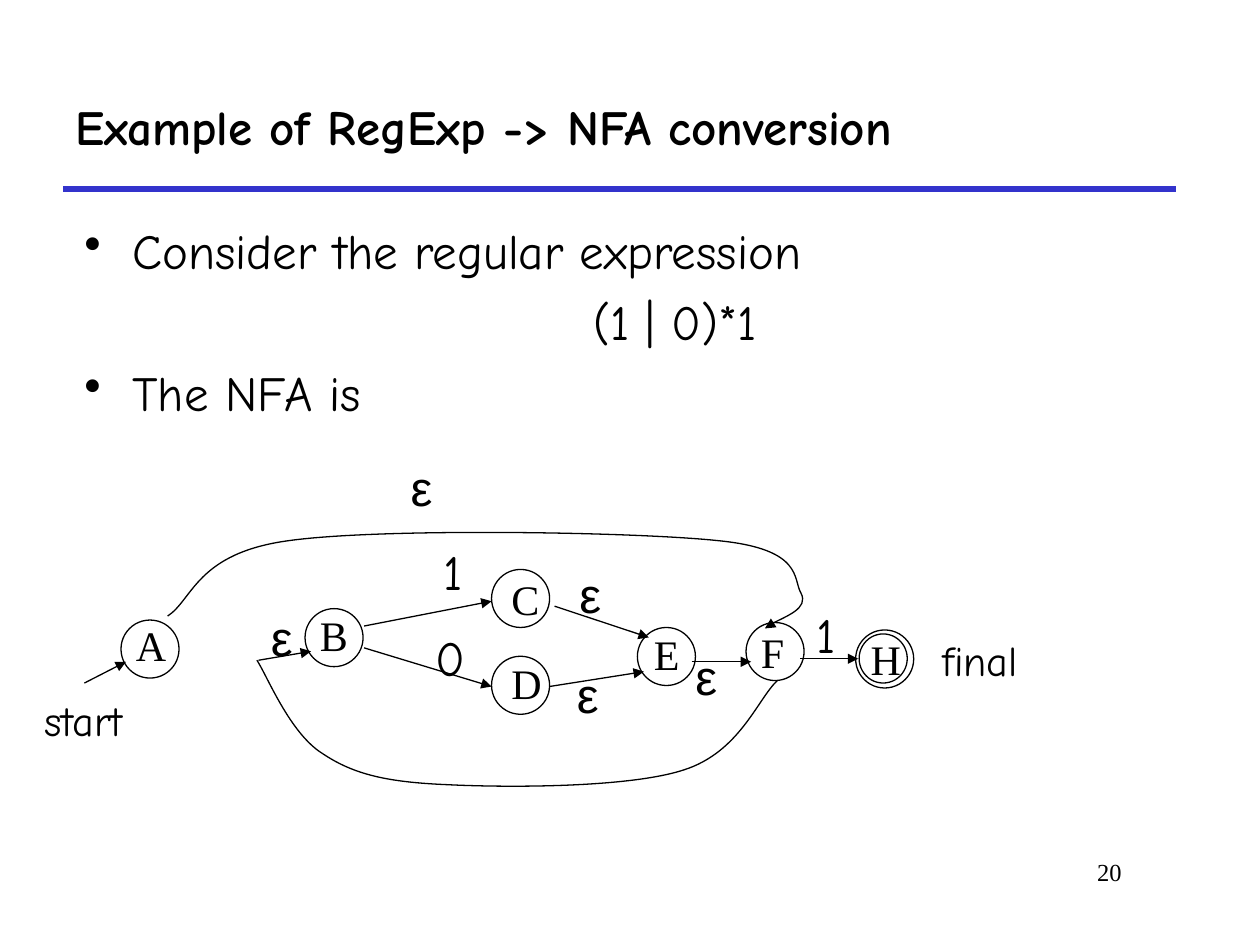
import pptx
import pptx.dml.color
import pptx.enum.shapes
import pptx.enum.text
import pptx.oxml
import pptx.oxml.ns
import pptx.util

Cm = pptx.util.Cm
Pt = pptx.util.Pt
Anchor = pptx.enum.text.MSO_ANCHOR
Align = pptx.enum.text.PP_ALIGN
Shape = pptx.enum.shapes.MSO_SHAPE
qn = pptx.oxml.ns.qn

THEME = {
    "ink": "000000", "rule": "3333CC",
    "hand": "Comic Neue", "serif": "Times New Roman", "greek": "Arial",
    "large": 28, "medium": 24, "small": 14,
    "rule_width": 3, "thin": 0.75, "gap": 7,
}

TITLE = "Example of RegExp -> NFA conversion"
TITLE_BOX = (1.27, 1.27, 22.43, 2.54)
RULE = ((1.27, 3.81), (23.7, 3.81))
BODY_BOX = (1.45, 4.32, 23.06, 12.27)
BODY = [
    ("Consider the regular expression", True),
    ("(1 | 0)*1", False),
    ("The NFA is", True),
]
BULLET_INDENT = 0.97
FORMULA_MARGIN, FORMULA_INDENT = 2.06, -0.79
PAGE_NUMBER = "20"
PAGE_BOX = (19.25, 17.15, 3.61, 1.27)

STATE_SIZE = 1.17
NAME_HEIGHT = 1.27
STATES = [
    ("A", (2.44, 12.5), (0.05, -0.13), 1.12),
    ("B", (6.15, 12.27), (0.05, -0.1), 1.07),
    ("C", (9.91, 11.48), (0.15, -0.05), 1.07),
    ("D", (9.91, 13.23), (0.15, -0.1), 1.12),
    ("E", (12.85, 12.65), (0.08, -0.1), 1.02),
    ("F", (15.04, 12.55), (0.05, -0.05), 0.97),
    ("H", (17.25, 12.7), (0.05, -0.05), 1.12),
]
ACCEPTING_RING = (17.32, 12.78, 0.97, 0.99)

ARROWS = [
    ((1.7, 13.77), (2.54, 13.34)),
    ((5.21, 13.31), (6.27, 13.13)),
    ((7.34, 12.62), (9.91, 12.12)),
    ((7.34, 13.06), (9.91, 13.84)),
    ((11.18, 12.22), (13.08, 12.85)),
    ((11.07, 13.84), (12.98, 13.54)),
    ((13.94, 13.34), (15.14, 13.34)),
    ((16.13, 13.28), (17.3, 13.28)),
]
SYMBOL_WIDTHS = {"ε": 0.94, "1": 0.89, "0": 1.09}
SYMBOL_HEIGHT = 1.45
SYMBOLS = [
    ("ε", (8.03, 9.09)),
    ("ε", (5.21, 12.12)),
    ("1", (8.69, 10.8)),
    ("0", (8.53, 12.52)),
    ("ε", (11.43, 11.25)),
    ("ε", (11.38, 13.28)),
    ("ε", (13.77, 12.9)),
    ("1", (16.21, 12.07)),
]
CAPTIONS = [
    ("start", (0.64, 13.87, 2.11, 1.27)),
    ("final", (18.75, 12.67, 2.03, 1.27)),
]

REPEAT_CURVE = [
    (5.18, 13.31),
    (5.38, 13.61), (5.84, 14.78), (6.5, 15.19),
    (7.14, 15.62), (7.82, 15.77), (9.04, 15.82),
    (10.26, 15.88), (12.7, 15.88), (13.79, 15.52),
    (14.91, 15.16), (15.27, 14.1), (15.67, 13.72),
]
SKIP_CURVE = [
    (15.42, 12.67),
    (15.54, 12.55), (16.31, 12.27), (16.15, 11.96),
    (15.98, 11.68), (16.21, 11.07), (14.48, 10.9),
    (12.78, 10.72), (7.67, 10.64), (5.82, 10.9),
    (3.96, 11.15), (3.89, 12.09), (3.38, 12.42),
]


def color(key):
    return pptx.dml.color.RGBColor.from_string(THEME[key])


def lengths(values):
    return [Cm(value) for value in values]


def stroke(part, ink="ink", width="thin", arrow_at=None):
    part.line.color.rgb = color(ink)
    part.line.width = Pt(THEME[width])
    if arrow_at:
        tip = pptx.oxml.parse_xml(
            f'<a:{arrow_at} {pptx.oxml.ns.nsdecls("a")} type="triangle"/>')
        part.line._get_or_add_ln().append(tip)


def add_line(shapes, start, end, **style):
    line = shapes.add_connector(
        pptx.enum.shapes.MSO_CONNECTOR.STRAIGHT, *lengths(start + end))
    stroke(line, **style)
    pptx.oxml.xmlchemy.OxmlElement
    line._element.spPr.append(
        pptx.oxml.parse_xml(f'<a:effectLst {pptx.oxml.ns.nsdecls("a")}/>'))


def add_ring(shapes, box):
    ring = shapes.add_shape(Shape.OVAL, *lengths(box))
    ring.shadow.inherit = False
    ring.fill.background()
    stroke(ring)


def add_curve(shapes, points, arrow_at=None):
    start, *controls = [lengths(point) for point in points]
    builder = shapes.build_freeform(*start)
    builder.add_line_segments(controls, close=False)
    curve = builder.convert_to_shape()
    curve.shadow.inherit = False
    curve.fill.background()
    stroke(curve, arrow_at=arrow_at)
    outline = next(curve._element.iter(qn("a:path")))
    steps = outline.findall(qn("a:lnTo"))
    for first in range(0, len(steps), 3):
        bend = pptx.oxml.parse_xml(
            f'<a:cubicBezTo {pptx.oxml.ns.nsdecls("a")}/>')
        for step in steps[first:first + 3]:
            bend.append(step[0])
            outline.remove(step)
        outline.append(bend)


def add_run(paragraph, words, font, size, bold=False):
    run = paragraph.add_run()
    run.text = words
    run.font.name = THEME[font]
    run.font.size = Pt(THEME[size])
    run.font.bold = bold
    run.font.color.rgb = color("ink")


def add_frame(shapes, box, anchor=Anchor.TOP, wrap=True):
    frame = shapes.add_textbox(*lengths(box)).text_frame
    frame.word_wrap = wrap
    frame.vertical_anchor = anchor
    return frame


def add_label(shapes, words, box, font, size):
    frame = add_frame(shapes, box, wrap=False)
    frame.auto_size = pptx.enum.text.MSO_AUTO_SIZE.SHAPE_TO_FIT_TEXT
    add_run(frame.paragraphs[0], words, font, size)


def add_body(shapes):
    frame = add_frame(shapes, BODY_BOX)
    for index, (words, bulleted) in enumerate(BODY):
        paragraph = frame.add_paragraph() if index else frame.paragraphs[0]
        paragraph.space_before = Pt(THEME["gap"])
        margin, indent = ((BULLET_INDENT, -BULLET_INDENT) if bulleted
                          else (FORMULA_MARGIN, FORMULA_INDENT))
        properties = paragraph._p.get_or_add_pPr()
        properties.set("marL", str(Cm(margin)))
        properties.set("indent", str(Cm(indent)))
        if bulleted:
            properties.append(pptx.oxml.parse_xml(
                f'<a:buChar {pptx.oxml.ns.nsdecls("a")} char="•"/>'))
        else:
            paragraph.alignment = Align.CENTER
        add_run(paragraph, words, "hand", "large")


def main():
    deck = pptx.Presentation()
    deck.slide_width, deck.slide_height = Cm(25.4), Cm(19.05)
    shapes = deck.slides.add_slide(deck.slide_layouts[6]).shapes

    add_line(shapes, *RULE, ink="rule", width="rule_width")
    title = add_frame(shapes, TITLE_BOX, Anchor.MIDDLE)
    add_run(title.paragraphs[0], TITLE, "hand", "large", bold=True)
    add_body(shapes)
    page = add_frame(shapes, PAGE_BOX).paragraphs[0]
    page.alignment = Align.RIGHT
    add_run(page, PAGE_NUMBER, "serif", "small")

    add_curve(shapes, REPEAT_CURVE)
    add_curve(shapes, SKIP_CURVE, arrow_at="headEnd")
    for start, end in ARROWS:
        add_line(shapes, start, end, arrow_at="tailEnd")
    for name, (left, top), (right, down), width in STATES:
        add_ring(shapes, (left, top, STATE_SIZE, STATE_SIZE))
        add_label(shapes, name, (left + right, top + down, width, NAME_HEIGHT),
                  "serif", "medium")
    add_ring(shapes, ACCEPTING_RING)
    for symbol, corner in SYMBOLS:
        add_label(shapes, symbol, corner + (SYMBOL_WIDTHS[symbol], SYMBOL_HEIGHT),
                  "greek" if symbol == "ε" else "hand", "large")
    for words, box in CAPTIONS:
        add_run(add_frame(shapes, box).paragraphs[0], words, "hand", "medium")

    deck.save("out.pptx")


if __name__ == "__main__":
    main()
